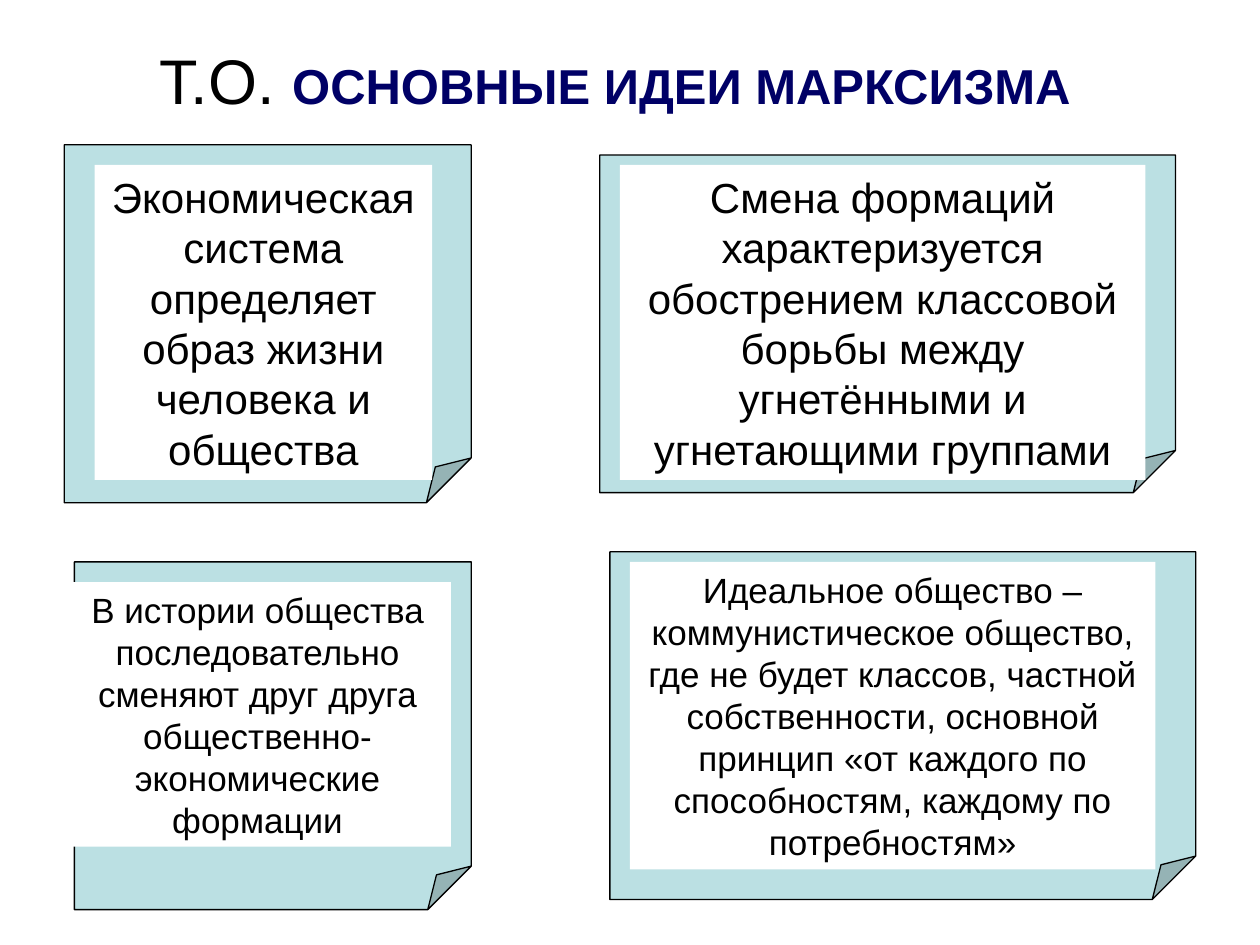
"""Build a slide with the main ideas of Marxism on four folded notes."""
from dataclasses import dataclass

from pptx import Presentation
from pptx.dml.color import RGBColor
from pptx.enum.shapes import MSO_SHAPE as SHAPE
from pptx.enum.text import MSO_AUTO_SIZE as FIT, PP_ALIGN as ALIGN
from pptx.slide import Slide
from pptx.util import Pt

EMU_PER_PX = 9144
FOLD = 12500
BLACK, NAVY, AQUA, WHITE = "000000", "000066", "BBE0E3", "FFFFFF"


@dataclass(frozen=True)
class Box:
    left: int
    top: int
    width: int
    height: int

    def emu(self) -> list[int]:
        return [n * EMU_PER_PX for n in (self.left, self.top, self.width, self.height)]


@dataclass(frozen=True)
class Span:
    text: str
    size: int
    color: str = BLACK
    bold: bool = False


@dataclass(frozen=True)
class Note:
    paper: Box
    label: Box
    size: int
    text: str


TITLE_BOX = Box(90, 28, 796, 70)
TITLE = [Span("Т.О. ", 36), Span("ОСНОВНЫЕ ИДЕИ МАРКСИЗМА", 28, NAVY, True)]
NOTES = [
    Note(Box(51, 115, 323, 284), Box(75, 131, 268, 250), 24,
         "Экономическая система определяет образ жизни человека и общества"),
    Note(Box(59, 446, 315, 276), Box(51, 462, 307, 210), 20,
         "В истории общества последовательно сменяют друг друга "
         "общественно-экономические формации"),
    Note(Box(476, 123, 457, 268), Box(492, 131, 417, 250), 24,
         "Смена формаций характеризуется обострением классовой борьбы "
         "между угнетёнными и угнетающими группами"),
    Note(Box(484, 438, 465, 276), Box(500, 446, 417, 244), 20,
         "Идеальное общество – коммунистическое общество, где не будет классов, "
         "частной собственности, основной принцип «от каждого по способностям, "
         "каждому по потребностям»"),
]


def rgb(color: str) -> RGBColor:
    return RGBColor.from_string(color)


def add_text(slide: Slide, box: Box, spans: list[Span], space: float, fill: str = "") -> None:
    sp = slide.shapes.add_textbox(*box.emu())
    if fill:
        sp.fill.solid()
        sp.fill.fore_color.rgb = rgb(fill)
    tf = sp.text_frame
    tf.word_wrap = True
    tf.auto_size = FIT.SHAPE_TO_FIT_TEXT
    p = tf.paragraphs[0]
    p.alignment = ALIGN.CENTER
    p.space_before = Pt(space)
    for span in spans:
        r = p.add_run()
        r.text = span.text
        formats = {"name": "Arial", "size": Pt(span.size), "bold": span.bold}
        for name, value in formats.items():
            setattr(r.font, name, value)
        r.font.color.rgb = rgb(span.color)


def add_note(slide: Slide, note: Note) -> None:
    sp = slide.shapes.add_shape(SHAPE.FOLDED_CORNER, *note.paper.emu())
    sp.shadow.inherit = False
    sp.element.prstGeom.rewrite_guides([("adj", FOLD)])
    sp.fill.solid()
    sp.fill.fore_color.rgb = rgb(AQUA)
    sp.line.color.rgb = rgb(BLACK)
    sp.line.width = Pt(0.75)
    add_text(slide, note.label, [Span(note.text, note.size)], note.size * 0.625, WHITE)


def main() -> None:
    prs = Presentation()
    prs.slide_width, prs.slide_height = 1000 * EMU_PER_PX, 750 * EMU_PER_PX
    slide = prs.slides.add_slide(prs.slide_layouts[6])
    add_text(slide, TITLE_BOX, TITLE, 17.5)
    for note in NOTES:
        add_note(slide, note)
    prs.save("out.pptx")


if __name__ == "__main__":
    main()
